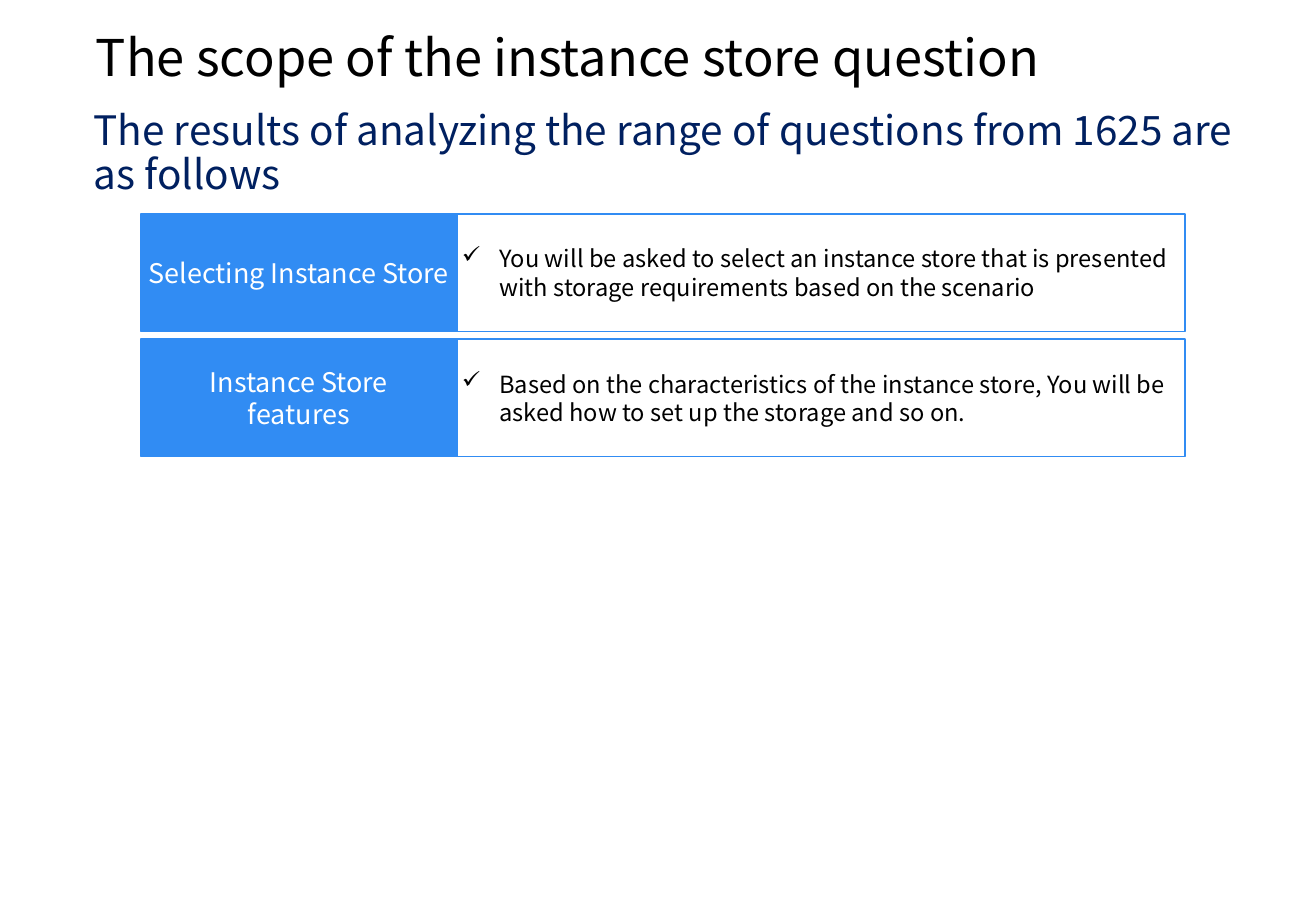
from lxml.etree import SubElement
from pptx import Presentation
from pptx.dml.color import RGBColor
from pptx.enum.shapes import MSO_SHAPE as Shape
from pptx.enum.text import MSO_ANCHOR as Anchor, PP_ALIGN as Align
from pptx.oxml.ns import qn
from pptx.util import Inches, Pt

FONT = "Noto Sans CJK JP"
BLUE, NAVY, BLACK, WHITE = "318CF3", "002060", "000000", "FFFFFF"

# Grid of the topic rows, in inches
HEADING_LEFT = 0.69
LABEL_LEFT, LABEL_WIDTH, DETAIL_WIDTH = 1.16, 2.6, 5.99
FIRST_ROW, ROW_HEIGHT, ROW_PITCH = 1.76, 0.97, 1.03

TOPICS = [
    ("Selecting Instance Store",
     "You will be asked to select an instance store that is presented "
     "with storage requirements based on the scenario"),
    ("Instance Store\vfeatures",
     "Based on the characteristics of the instance store, You will be "
     "asked how to set up the storage and so on."),
]


def color(hex_code):
    return RGBColor.from_string(hex_code)


def write(frame, text, size, hex_code, inset_x, inset_y):
    """Fill a text frame and return its paragraph."""
    frame.word_wrap = True
    frame.margin_left = frame.margin_right = Inches(inset_x)
    frame.margin_top = frame.margin_bottom = Inches(inset_y)
    frame.text = text
    paragraph = frame.paragraphs[0]
    for run in paragraph.runs:
        run.font.name = FONT
        run.font.size = Pt(size)
        run.font.color.rgb = color(hex_code)
    return paragraph


def add_heading(slide, text, top, width, height, size, hex_code, inset_x, inset_y):
    heading = slide.shapes.add_textbox(
        Inches(HEADING_LEFT), Inches(top), Inches(width), Inches(height))
    paragraph = write(heading.text_frame, text, size, hex_code, inset_x, inset_y)
    paragraph.line_spacing = 0.9


def add_cell(slide, text, left, top, width, size, hex_code, fill=None):
    """Draw one outlined box of a topic row and return its paragraph."""
    cell = slide.shapes.add_shape(
        Shape.RECTANGLE, Inches(left), Inches(top), Inches(width), Inches(ROW_HEIGHT))
    cell.shadow.inherit = False
    cell.line.color.rgb = color(BLUE)
    cell.line.width = Pt(1)
    if fill:
        cell.fill.solid()
        cell.fill.fore_color.rgb = color(fill)
    else:
        cell.fill.background()
    cell.text_frame.vertical_anchor = Anchor.MIDDLE
    return write(cell.text_frame, text, size, hex_code, 0.04, 0.04)


def add_check_mark(paragraph):
    properties = paragraph._p.get_or_add_pPr()
    indent = Inches(0.31)
    properties.set("marL", str(indent))
    properties.set("indent", str(-indent))
    SubElement(properties, qn("a:buChar")).set("char", "✓")


def add_topic(slide, row, label, detail):
    top = FIRST_ROW + row * ROW_PITCH
    detail_line = add_cell(slide, detail, LABEL_LEFT + LABEL_WIDTH, top,
                           DETAIL_WIDTH, 14, BLACK)
    detail_line.alignment = Align.LEFT
    add_check_mark(detail_line)
    label_line = add_cell(slide, label, LABEL_LEFT, top, LABEL_WIDTH, 16, WHITE, BLUE)
    label_line.alignment = Align.CENTER


def main():
    deck = Presentation()
    deck.slide_width, deck.slide_height = Inches(10.83), Inches(7.5)
    slide = deck.slides.add_slide(deck.slide_layouts[6])

    # Title and subtitle
    add_heading(slide, "The scope of the instance store question",
                0.22, 9.45, 0.55, 30, BLACK, 0.1, 0.05)
    add_heading(slide,
                "The results of analyzing the range of questions from 1625 are as follows",
                0.87, 9.69, 0.36, 24, NAVY, 0.08, 0.04)

    # Topic rows
    for row, (label, detail) in enumerate(TOPICS):
        add_topic(slide, row, label, detail)

    deck.save("out.pptx")


if __name__ == "__main__":
    main()
